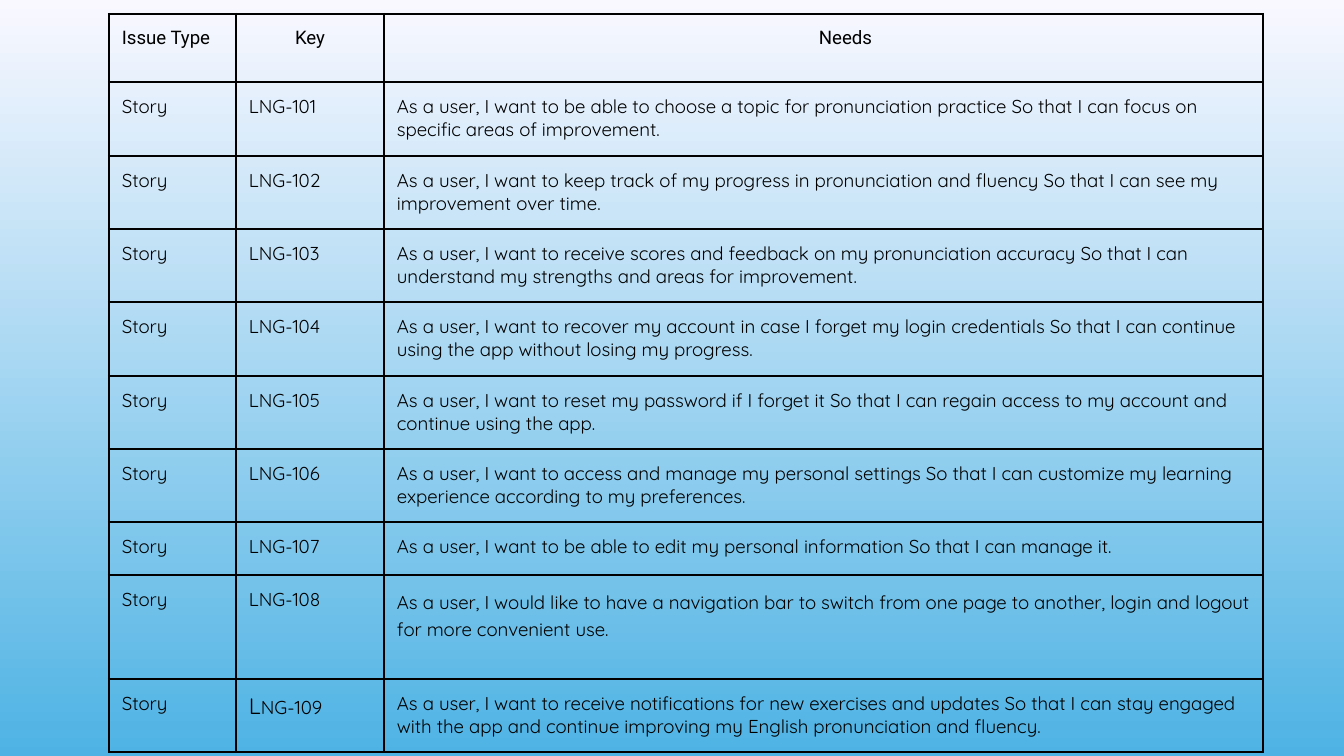
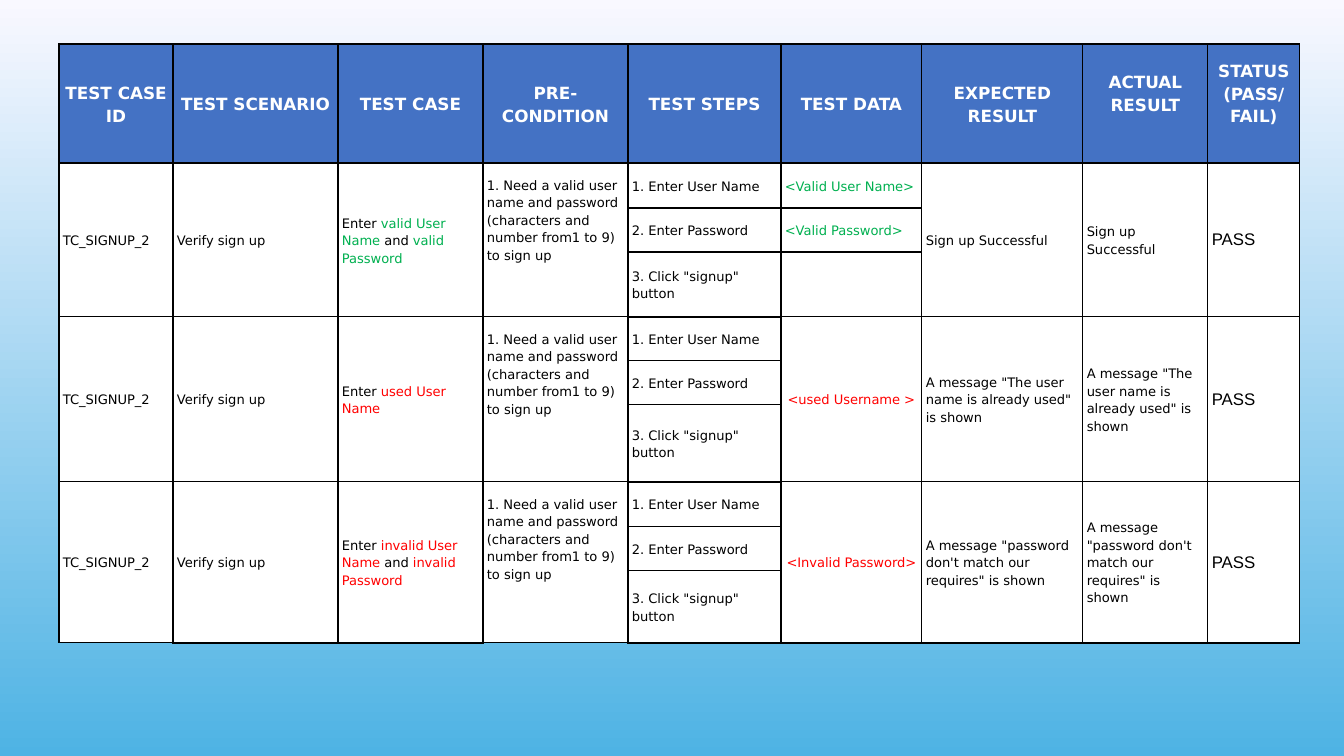
from lxml.etree import SubElement
from pptx import Presentation
from pptx.dml.color import RGBColor
from pptx.enum.text import MSO_ANCHOR as Anchor, PP_ALIGN as Align
from pptx.oxml.ns import qn
from pptx.util import Pt

PX = 914400 / 134.4
BLACK = RGBColor(0x00, 0x00, 0x00)
WHITE = RGBColor(0xFF, 0xFF, 0xFF)
HEADER_BLUE = RGBColor(0x44, 0x72, 0xC4)
GREEN = RGBColor(0x00, 0xB0, 0x50)
RED = RGBColor(0xFF, 0x00, 0x00)
SKY_TOP = RGBColor(0xF9, 0xF8, 0xFF)
SKY_BOTTOM = RGBColor(0x4E, 0xB3, 0xE4)
THIN, THICK = 0.75, 1.5

STORY_HEADERS = ["Issue Type", "Key", "Needs"]
STORY_COLUMNS = [127, 148, 879]
STORY_ROWS = [68, 74, 73, 73, 74, 73, 73, 53, 104, 73]
STORY_PAD = 13
NEEDS_HEADER_PAD = 57
NAVIGATION_ROW = 8
NEEDS = [
    "As a user, I want to be able to choose a topic for pronunciation practice So that I can focus on specific areas of improvement.",
    "As a user, I want to keep track of my progress in pronunciation and fluency So that I can see my improvement over time.",
    "As a user, I want to receive scores and feedback on my pronunciation accuracy So that I can understand my strengths and areas for improvement.",
    "As a user, I want to recover my account in case I forget my login credentials So that I can continue using the app without losing my progress.",
    "As a user, I want to reset my password if I forget it So that I can regain access to my account and continue using the app.",
    "As a user, I want to access and manage my personal settings So that I can customize my learning experience according to my preferences.",
    "As a user, I want to be able to edit my personal information So that I can manage it.",
    "As a user, I would like to have a navigation bar to switch from one page to another, login and logout for more convenient use.",
    "As a user, I want to receive notifications for new exercises and updates So that I can stay engaged with the app and continue improving my English pronunciation and fluency.",
]

TEST_HEADERS = [
    "TEST CASE ID", "TEST SCENARIO", "TEST CASE", "PRE-CONDITION", "TEST STEPS",
    "TEST DATA", "EXPECTED\nRESULT", "ACTUAL\nRESULT", "STATUS (PASS/\nFAIL)",
]
TEST_COLUMNS = [114, 165, 145, 145, 153, 141, 161, 125, 92]
TEST_ROWS = [119, 45, 44, 65, 44, 44, 77, 45, 44, 72]
RAISED_HEADERS = ["ACTUAL\nRESULT", "STATUS (PASS/\nFAIL)"]
ID, SCENARIO, CASE, CONDITION, STEP, DATA, EXPECTED, ACTUAL, STATUS = range(9)
PRECONDITION = "1. Need a valid user name and password (characters and number from1 to 9) to sign up"
STEPS = ["1. Enter User Name", "2. Enter Password", '3. Click "signup" button']
TESTS = [
    {
        "case": [("Enter ", BLACK), ("valid User Name", GREEN), (" and ", BLACK), ("valid Password", GREEN)],
        "data": ["<Valid User Name>", "<Valid Password>", ""],
        "result": "Sign up Successful",
    },
    {
        "case": [("Enter ", BLACK), ("used User Name", RED)],
        "data": ["<used Username >"],
        "result": 'A message "The user name is already used" is shown',
    },
    {
        "case": [("Enter ", BLACK), ("invalid User Name", RED), (" and ", BLACK), ("invalid Password", RED)],
        "data": ["<Invalid Password>"],
        "result": 'A message "password don\'t match our requires" is shown',
    },
]


def px(length):
    return round(length * PX)


def add_grid(page, left, top, columns, rows):
    frame = page.shapes.add_table(len(rows), len(columns), px(left), px(top), px(sum(columns)), px(sum(rows)))
    table = frame.table
    table.first_row = table.horz_banding = False
    for column, width in zip(table.columns, columns):
        column.width = px(width)
    for row, height in zip(table.rows, rows):
        row.height = px(height)
    return table


def style_cell(cell, fill=None, width=THIN, top=None, bottom=None):
    if fill is None:
        cell.fill.background()
    else:
        cell.fill.solid()
        cell.fill.fore_color.rgb = fill
    properties = cell._tc.get_or_add_tcPr()
    edges = {"L": width, "R": width, "T": top or width, "B": bottom or width}
    for place, (side, points) in enumerate(edges.items()):
        line = SubElement(properties, qn(f"a:ln{side}"), w=str(Pt(points)))
        SubElement(SubElement(line, qn("a:solidFill")), qn("a:srgbClr"), val=str(BLACK))
        properties.insert(place, line)


def write_cell(cell, text, font, size, colour=BLACK, bold=False, align=Align.LEFT,
               anchor=Anchor.TOP, spacing=None, margins=(13, 13, 13, 13)):
    cell.margin_left, cell.margin_top, cell.margin_right, cell.margin_bottom = map(px, margins)
    cell.vertical_anchor = anchor
    frame = cell.text_frame
    lines = text.split("\n") if isinstance(text, str) else [text]
    for number, content in enumerate(lines):
        para = frame.add_paragraph() if number else frame.paragraphs[0]
        para.alignment = align
        para.line_spacing = spacing
        para.font.name, para.font.size, para.font.bold = font, Pt(size), bold
        if isinstance(content, str):
            para.text = content
            para.font.color.rgb = colour
            continue
        for words, tint, *sizes in content:
            span = para.add_run()
            span.text = words
            span.font.color.rgb = tint
            if sizes:
                span.font.size = Pt(sizes[0])


def build_stories(page):
    table = add_grid(page, 109, 14, STORY_COLUMNS, STORY_ROWS)
    for column, header in enumerate(STORY_HEADERS):
        left = NEEDS_HEADER_PAD if header == "Needs" else STORY_PAD
        write_cell(table.cell(0, column), header, "Roboto", 10,
                   align=Align.CENTER if column else Align.LEFT,
                   margins=(left, STORY_PAD, STORY_PAD, STORY_PAD))
    for row, need in enumerate(NEEDS, 1):
        key = f"LNG-{100 + row}"
        if row == len(NEEDS):
            key = [(key[0], BLACK, 12), (key[1:], BLACK, 10)]
        for column, text in enumerate(["Story", key, need]):
            spacing = 1.15 if row == NAVIGATION_ROW and column == 2 else None
            write_cell(table.cell(row, column), text, "Quicksand", 10, spacing=spacing)
    for cell in table.iter_cells():
        style_cell(cell, width=THICK)


def write_test_cell(cell, text, **options):
    settings = {"font": "DejaVu Sans", "size": 7, "anchor": Anchor.MIDDLE,
                "spacing": 1.15, "margins": (4, 13, 4, 13)}
    write_cell(cell, text, **{**settings, **options})


def write_test(table, first, test):
    texts = {ID: "TC_SIGNUP_2", SCENARIO: "Verify sign up", CASE: test["case"],
             CONDITION: PRECONDITION, EXPECTED: test["result"], ACTUAL: test["result"], STATUS: "PASS"}
    special = {CONDITION: {"anchor": Anchor.TOP},
               STATUS: {"font": "Arial", "size": 9, "spacing": None}}
    last = first + len(STEPS) - 1
    for column, text in texts.items():
        table.cell(first, column).merge(table.cell(last, column))
        write_test_cell(table.cell(first, column), text, **special.get(column, {}))
    for offset, step in enumerate(STEPS):
        write_test_cell(table.cell(first + offset, STEP), step)
    if len(test["data"]) == 1:
        table.cell(first, DATA).merge(table.cell(last, DATA))
        write_test_cell(table.cell(first, DATA), test["data"][0], colour=RED, align=Align.CENTER)
        return
    for offset, value in enumerate(test["data"]):
        pad = 13 if value else 0
        write_test_cell(table.cell(first + offset, DATA), value, colour=GREEN,
                        anchor=Anchor.BOTTOM, margins=(4, pad, 4, pad))


def build_tests(page):
    table = add_grid(page, 59, 44, TEST_COLUMNS, TEST_ROWS)
    for column, header in enumerate(TEST_HEADERS):
        bottom = 34 if header in RAISED_HEADERS else 13
        write_test_cell(table.cell(0, column), header, size=9, colour=WHITE, bold=True,
                        align=Align.CENTER, margins=(4, 13, 4, bottom))
        style_cell(table.cell(0, column), HEADER_BLUE)
    for number, test in enumerate(TESTS):
        first = 1 + number * len(STEPS)
        write_test(table, first, test)
        for offset in range(len(STEPS)):
            for column in range(len(TEST_COLUMNS)):
                top = bottom = THIN
                if column == STEP:
                    top = THICK if number and offset == 0 else THIN
                    bottom = THICK if offset == len(STEPS) - 1 else THIN
                elif test is TESTS[-1] and offset == 0 and column not in (ID, CONDITION):
                    bottom = THICK
                style_cell(table.cell(first + offset, column), WHITE, top=top, bottom=bottom)


def paint_background(master):
    fill = master.background.fill
    fill.gradient()
    fill.gradient_angle = 270
    for stop, position, colour in zip(fill.gradient_stops, (0, 1), (SKY_TOP, SKY_BOTTOM)):
        stop.position = position
        stop.color.rgb = colour


def main():
    deck = Presentation()
    deck.slide_width, deck.slide_height = px(1344), px(756)
    paint_background(deck.slide_master)
    for build in (build_stories, build_tests):
        build(deck.slides.add_slide(deck.slide_layouts[6]))
    deck.save("out.pptx")


if __name__ == "__main__":
    main()
